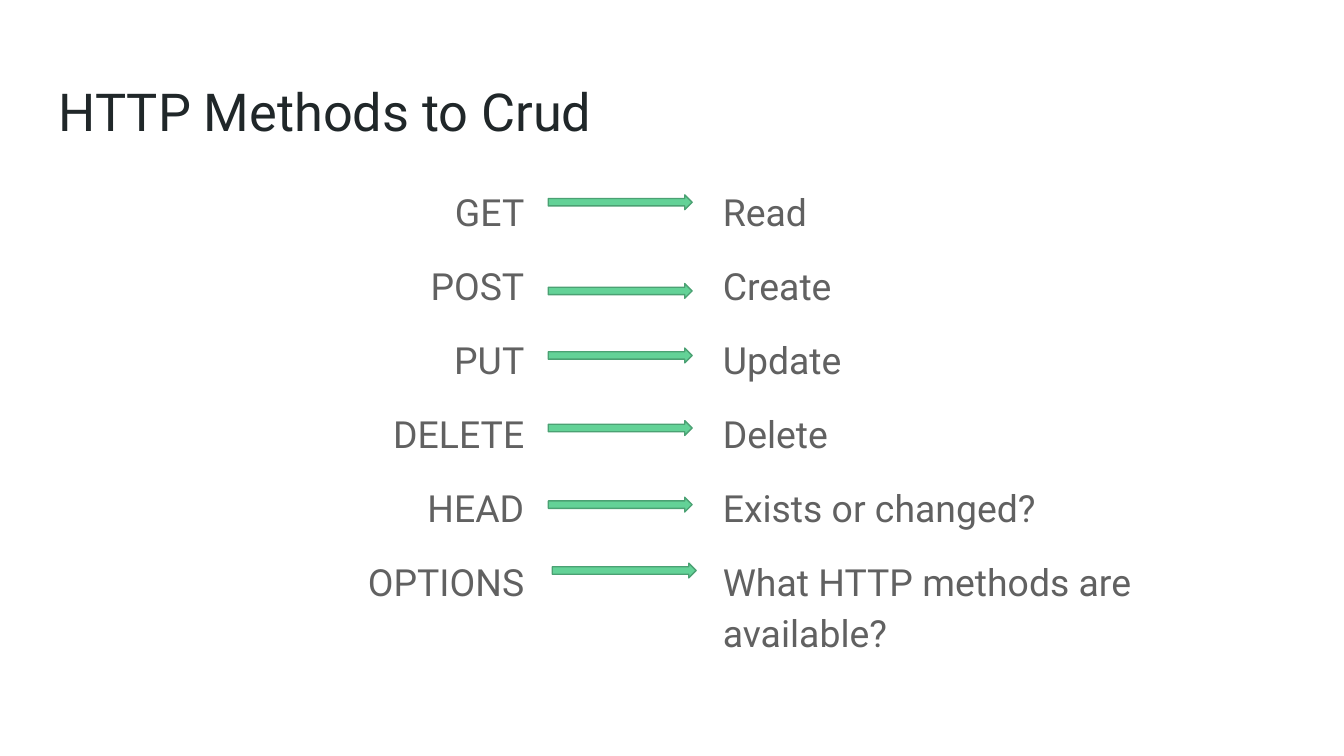
from dataclasses import dataclass

from pptx import Presentation
from pptx.dml.color import RGBColor
from pptx.enum.shapes import MSO_SHAPE
from pptx.enum.text import MSO_ANCHOR, PP_ALIGN
from pptx.util import Inches, Pt

RIGHT_ARROW = MSO_SHAPE.RIGHT_ARROW
TOP = MSO_ANCHOR.TOP
LEFT, RIGHT = PP_ALIGN.LEFT, PP_ALIGN.RIGHT
BLANK_LAYOUT = 6
SLIDE_WIDTH = 10
SLIDE_HEIGHT = SLIDE_WIDTH * 9 / 16


@dataclass(frozen=True)
class Theme:
    font: str = "Roboto"
    background: str = "FFFFFF"
    title_color: str = "202729"
    body_color: str = "616161"
    arrow_fill: str = "63D297"
    arrow_line: str = "4BA173"
    title_size: float = 28
    body_size: float = 20
    line_width: float = 0.75
    line_spacing: float = 1.15
    paragraph_gap: float = 12


class SlideBuilder:
    def __init__(self, slide, theme):
        self.slide = slide
        self.theme = theme
        fill = slide.background.fill
        fill.solid()
        fill.fore_color.rgb = RGBColor.from_string(theme.background)

    def text(self, content, left, top, width, height, size, color, alignment=LEFT):
        shape = self.slide.shapes.add_textbox(
            Inches(left), Inches(top), Inches(width), Inches(height))
        text_frame = shape.text_frame
        text_frame.word_wrap = True
        text_frame.vertical_anchor = TOP
        text_frame.margin_left = text_frame.margin_right = Inches(0.1)
        text_frame.margin_top = text_frame.margin_bottom = Inches(0.1)
        text_frame.text = content
        for paragraph in text_frame.paragraphs:
            paragraph.alignment = alignment
            for run in paragraph.runs:
                run.font.name = self.theme.font
                run.font.size = Pt(size)
                run.font.color.rgb = RGBColor.from_string(color)
        return text_frame

    def title(self, content, left, top, width, height):
        self.text(content, left, top, width, height,
                  self.theme.title_size, self.theme.title_color)

    def column(self, entries, left, top, width, height, alignment):
        text_frame = self.text("\n".join(entries), left, top, width, height,
                               self.theme.body_size, self.theme.body_color, alignment)
        for index, paragraph in enumerate(text_frame.paragraphs):
            paragraph.line_spacing = self.theme.line_spacing
            paragraph.space_before = Pt(self.theme.paragraph_gap if index else 0)

    def arrow(self, left, top, width, height):
        shape = self.slide.shapes.add_shape(
            RIGHT_ARROW, Inches(left), Inches(top), Inches(width), Inches(height))
        shape.shadow.inherit = False
        shape.fill.solid()
        shape.fill.fore_color.rgb = RGBColor.from_string(self.theme.arrow_fill)
        shape.line.color.rgb = RGBColor.from_string(self.theme.arrow_line)
        shape.line.width = Pt(self.theme.line_width)


def main():
    presentation = Presentation()
    presentation.slide_width = Inches(SLIDE_WIDTH)
    presentation.slide_height = Inches(SLIDE_HEIGHT)
    slide = presentation.slides.add_slide(presentation.slide_layouts[BLANK_LAYOUT])
    builder = SlideBuilder(slide, Theme())

    mappings = [
        ("GET", "Read", 4.08, 1.45),
        ("POST", "Create", 4.08, 2.11),
        ("PUT", "Update", 4.08, 2.59),
        ("DELETE", "Delete", 4.08, 3.13),
        ("HEAD", "Exists or changed?", 4.08, 3.7),
        ("OPTIONS", "What HTTP methods are available?", 4.11, 4.19),
    ]
    methods, actions, arrow_lefts, arrow_tops = zip(*mappings)

    builder.title("HTTP Methods to Crud", 0.34, 0.49, 9.32, 0.63)
    builder.column(actions, 5.28, 1.26, 4.37, 3.74, LEFT)
    builder.column(methods, 0.34, 1.26, 3.66, 3.74, RIGHT)
    for left, top in zip(arrow_lefts, arrow_tops):
        builder.arrow(left, top, 1.07, 0.11)

    presentation.save("out.pptx")


if __name__ == "__main__":
    main()
